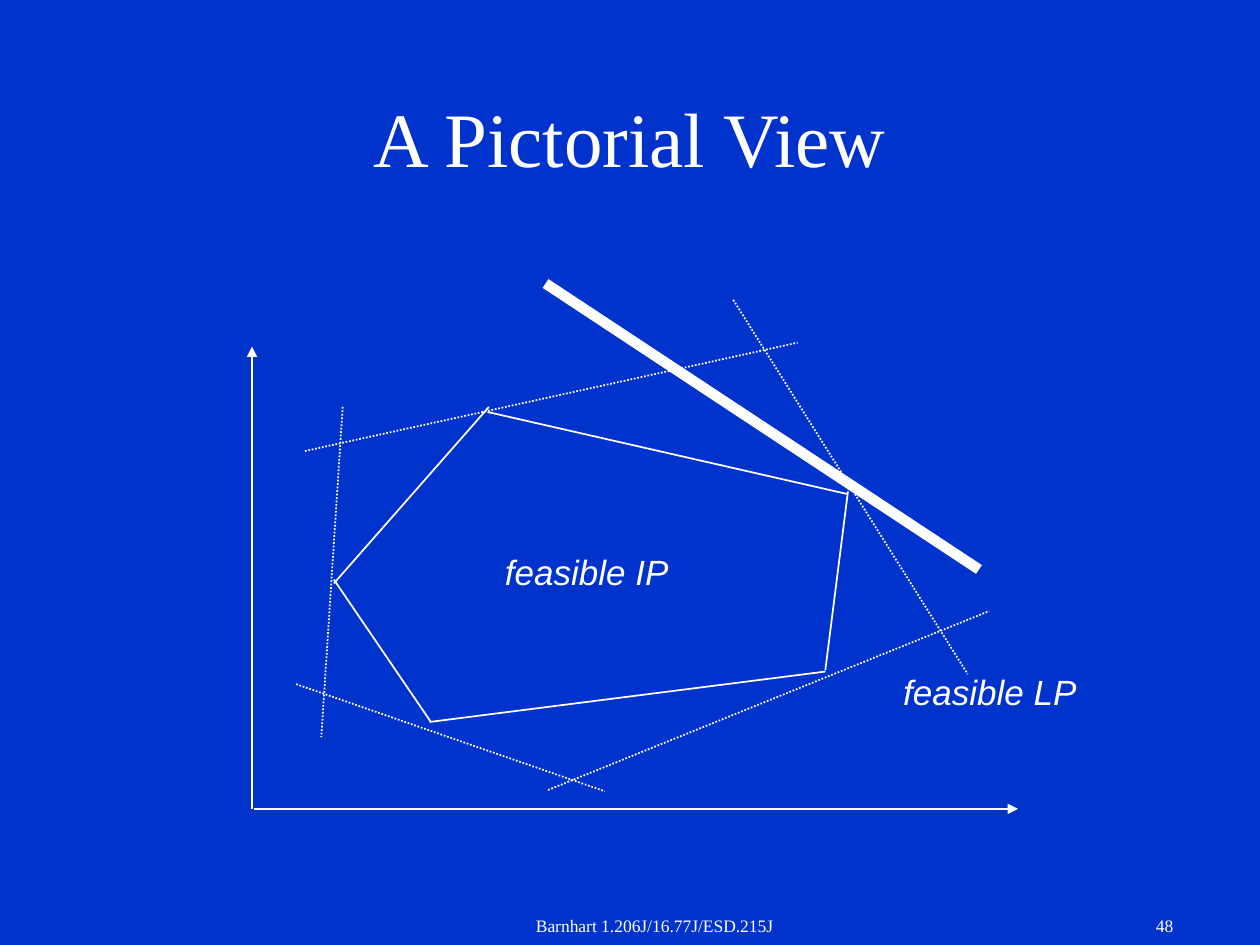
from dataclasses import dataclass
from pptx import Presentation
from pptx.dml.color import RGBColor
from pptx.enum.dml import MSO_LINE
from pptx.enum.shapes import MSO_CONNECTOR
from pptx.enum.text import MSO_ANCHOR, MSO_AUTO_SIZE, PP_ALIGN
from pptx.oxml.ns import qn
from pptx.util import Inches, Pt
from lxml.etree import SubElement


@dataclass(frozen=True)
class Theme:
    """Colours, fonts, type sizes and line widths of the slide."""
    background: RGBColor = RGBColor(0x00, 0x33, 0xCC)
    ink: RGBColor = RGBColor(0xFF, 0xFF, 0xFF)
    serif: str = "Times New Roman"
    sans: str = "Arial"
    title: int = 44
    label: int = 20
    footer: int = 10
    thin: int = 1
    thick: int = 6


THEME = Theme()
AXES = [
    ((2, 6.42), (2, 2.75)),
    ((2.02, 6.42), (8.08, 6.42)),
]
IP_EDGES = [
    ((3.88, 3.23), (2.65, 4.63)),
    ((2.65, 4.6), (3.42, 5.73)),
    ((3.41, 5.73), (6.55, 5.33)),
    ((6.55, 5.32), (6.73, 3.9)),
    ((6.72, 3.92), (3.87, 3.27)),
]
LP_CONSTRAINTS = [
    ((2.72, 3.23), (2.55, 5.85)),
    ((2.35, 5.43), (4.8, 6.28)),
    ((4.35, 6.27), (7.85, 4.85)),
    ((5.82, 2.38), (7.68, 5.35)),
    ((2.42, 3.58), (6.33, 2.72)),
]
OBJECTIVE = ((4.33, 2.25), (7.77, 4.52))


def add_line(slide, ends, width=THEME.thin, dash=None, arrow=False):
    """Draw a straight line, optionally dashed or with an arrowhead at its end."""
    start, end = ends
    line = slide.shapes.add_connector(
        MSO_CONNECTOR.STRAIGHT, *map(Inches, start + end))
    line.line.color.rgb = THEME.ink
    line.line.width = Pt(width)
    if dash is not None:
        line.line.dash_style = dash
    if arrow:
        SubElement(line.line._get_or_add_ln(), qn("a:tailEnd"), type="triangle")
    SubElement(line._element.spPr, qn("a:effectLst"))


def write(tf, text, size, font, align, italic=False):
    """Write one styled run into a text frame."""
    p = tf.paragraphs[0]
    p.alignment = align
    r = p.add_run()
    r.text = text
    r.font.size = Pt(size)
    r.font.name = font
    r.font.italic = italic
    r.font.color.rgb = THEME.ink


def set_title(slide, text):
    """Place and fill the title placeholder."""
    sp = slide.shapes.title
    sp.left, sp.top, sp.width, sp.height = map(Inches, (0.75, 0.25, 8.5, 1.25))
    tf = sp.text_frame
    tf.auto_size = MSO_AUTO_SIZE.NONE
    tf.vertical_anchor = MSO_ANCHOR.BOTTOM
    write(tf, text, THEME.title, THEME.serif, PP_ALIGN.CENTER)


def add_label(slide, text, box):
    """Add an italic label that fits its text on one line."""
    tf = slide.shapes.add_textbox(*map(Inches, box)).text_frame
    tf.word_wrap = False
    tf.auto_size = MSO_AUTO_SIZE.SHAPE_TO_FIT_TEXT
    write(tf, text, THEME.label, THEME.sans, PP_ALIGN.LEFT, italic=True)


def add_footer(slide, text, left, width, align):
    """Add a small text along the bottom of the slide."""
    box = slide.shapes.add_textbox(*map(Inches, (left, 7.21, width, 0.29)))
    tf = box.text_frame
    tf.word_wrap = True
    write(tf, text, THEME.footer, THEME.serif, align)


def main():
    """Build the slide and save it."""
    prs = Presentation()
    prs.slide_width, prs.slide_height = Inches(10), Inches(7.5)
    slide = prs.slides.add_slide(prs.slide_layouts[5])
    slide.background.fill.solid()
    slide.background.fill.fore_color.rgb = THEME.background

    set_title(slide, "A Pictorial View")
    for axis in AXES:
        add_line(slide, axis, arrow=True)
    for edge in IP_EDGES:
        add_line(slide, edge)
    for constraint in LP_CONSTRAINTS:
        add_line(slide, constraint, dash=MSO_LINE.ROUND_DOT)
    add_label(slide, "feasible IP", (3.91, 4.32, 1.5, 0.43))
    add_label(slide, "feasible LP", (7.07, 5.27, 1.58, 0.43))
    add_line(slide, OBJECTIVE, width=THEME.thick)
    add_footer(slide, "Barnhart 1.206J/16.77J/ESD.215J", 3.61, 3.17, PP_ALIGN.CENTER)
    add_footer(slide, "48", 7.33, 2.08, PP_ALIGN.RIGHT)
    prs.save("out.pptx")


if __name__ == "__main__":
    main()
